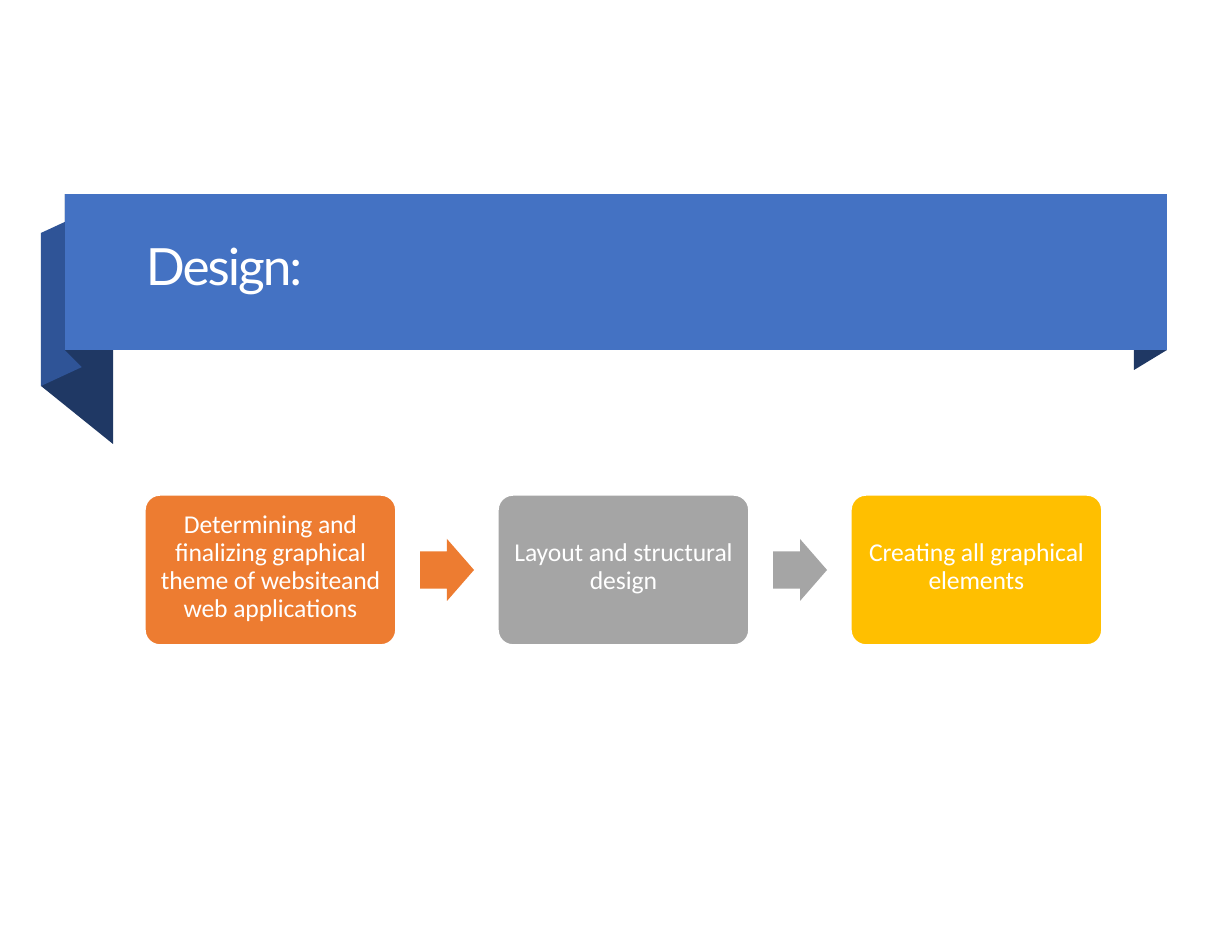
from dataclasses import dataclass

from pptx import Presentation
from pptx.dml.color import RGBColor
from pptx.enum.shapes import MSO_SHAPE
from pptx.enum.text import MSO_ANCHOR, PP_ALIGN
from pptx.util import Emu, Pt


@dataclass(frozen=True)
class Theme:
    white: str = "FFFFFF"
    band: str = "4472C3"
    fold: str = "2F5497"
    dark: str = "1F3864"
    head: str = "Lato"
    body: str = "Calibri"
    big: float = 33
    small: float = 16.5
    lead: float = 18


T = Theme()
TITLE = "Design:"
STEPS = [
    ("Determining and finalizing graphical theme of websiteand web applications", "ED7C31"),
    ("Layout and structural design", "A5A5A5"),
    ("Creating all graphical elements", "FFBF00"),
]

# Ribbon folds behind the title band, back to front
FOLDS = [
    (T.dark, [(1134, 370), (1134, 214), (1167, 194), (1167, 350)]),
    (T.dark, [(113, 444), (41, 386), (41, 233), (113, 291)]),
    (T.fold, [(41, 386), (41, 233), (82, 214), (82, 367)]),
    (T.dark, [(82, 367), (65, 350), (65, 194), (82, 212)]),
]
BAND = (65, 194, 1102, 156)
LEFT, TOP, WIDE, HIGH, STEP = 145, 495, 251, 150, 353
ARROW_W, ARROW_H = 54, 62


def px(n):
    return Emu(round(n * 914400 / 112))


def paint(shape, color):
    shape.fill.solid()
    shape.fill.fore_color.rgb = RGBColor.from_string(color)
    shape.line.fill.background()


def inset(frame, left, top, right, bottom):
    frame.margin_left, frame.margin_top = px(left), px(top)
    frame.margin_right, frame.margin_bottom = px(right), px(bottom)
    frame.word_wrap = True


def write(frame, text, face, size, align, track):
    """Fill the frame with one white paragraph; track is in 1/100 pt."""
    para = frame.paragraphs[0]
    run = para.add_run()
    run.text = text
    run.font._element.set("spc", str(track))
    para.alignment = align
    para.font.name, para.font.size = face, Pt(size)
    para.font.color.rgb = RGBColor.from_string(T.white)
    return para


def add(slide, kind, x, y, w, h, color):
    shape = slide.shapes.add_shape(kind, px(x), px(y), px(w), px(h))
    shape.shadow.inherit = False
    paint(shape, color)
    return shape


def add_ribbon(slide):
    for color, points in FOLDS:
        start, *rest = [(px(x), px(y)) for x, y in points]
        pen = slide.shapes.build_freeform(*start)
        pen.add_line_segments(rest, close=True)
        fold = pen.convert_to_shape()
        fold.shadow.inherit = False
        paint(fold, color)

    title = slide.shapes.title
    title.left, title.top, title.width, title.height = map(px, BAND)
    paint(title, T.band)
    frame = title.text_frame
    inset(frame, 81, 40, 0, 0)
    frame.vertical_anchor = MSO_ANCHOR.TOP
    write(frame, TITLE, T.head, T.big, PP_ALIGN.LEFT, -130)
    title.element.getparent().append(title.element)  # in front of the folds


def add_steps(slide):
    for i, (text, color) in enumerate(STEPS):
        x = LEFT + i * STEP
        box = add(slide, MSO_SHAPE.ROUNDED_RECTANGLE, x, TOP, WIDE, HIGH, color)
        box.adjustments[0] = 0.1
        box.line.color.rgb = RGBColor.from_string(T.white)
        box.line.width = Pt(1)
        frame = box.text_frame
        inset(frame, 8, 0, 8, 6)
        frame.vertical_anchor = MSO_ANCHOR.MIDDLE
        para = write(frame, text, T.body, T.small, PP_ALIGN.CENTER, -5)
        para.line_spacing = Pt(T.lead)

        if i < len(STEPS) - 1:
            gap = STEP - WIDE
            arrow = add(slide, MSO_SHAPE.RIGHT_ARROW,
                        x + WIDE + (gap - ARROW_W) / 2, TOP + (HIGH - ARROW_H) / 2,
                        ARROW_W, ARROW_H, color)
            arrow.adjustments[0] = 0.6
            arrow.adjustments[1] = 0.5


def main():
    deck = Presentation()
    deck.slide_width, deck.slide_height = px(1232), px(952)
    slide = deck.slides.add_slide(deck.slide_layouts[5])
    add_ribbon(slide)
    add_steps(slide)
    deck.save("out.pptx")


if __name__ == "__main__":
    main()
